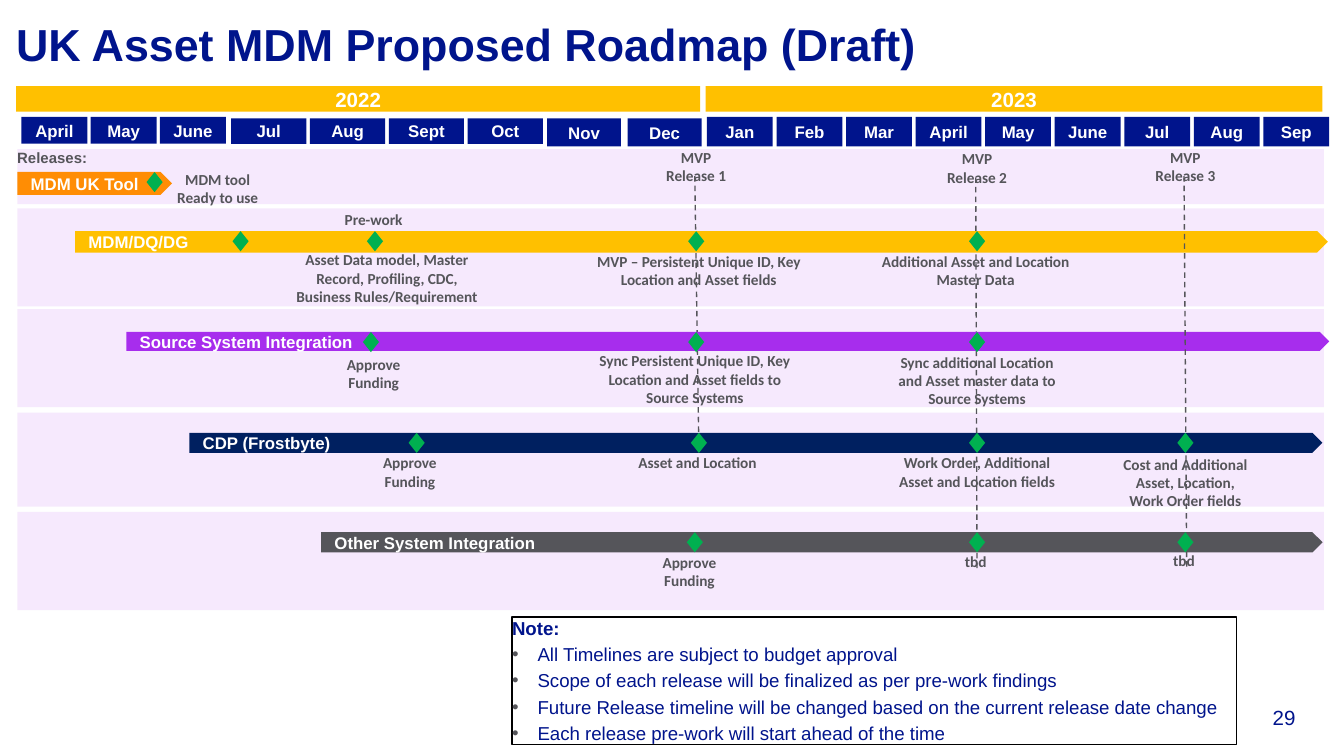
from pptx import Presentation
from pptx.dml.color import RGBColor
from pptx.enum.dml import MSO_LINE
from pptx.enum.shapes import MSO_CONNECTOR, MSO_SHAPE
from pptx.enum.text import MSO_ANCHOR, PP_ALIGN
from pptx.oxml.ns import qn
from pptx.util import Inches, Pt
from lxml.etree import SubElement

NAVY, GOLD, PURPLE, GREY, WHITE = "00148C", "FFC000", "A72DED", "55555A", "FFFFFF"
GREEN = "00B050"
LANE_LEFT, LANE_WIDTH = 0.13, 9.72
APPROVE = "Approve\nFunding"

# Month runs: left of first and last month, top, width, height, names
MONTHS = [
    (0.16, 1.19, 0.87, 0.49, 0.20, ["April", "May", "June"]),
    (1.72, 3.48, 0.88, 0.56, 0.19, ["Jul", "Aug", "Sept", "Oct"]),
    (4.07, 4.67, 0.88, 0.55, 0.21, ["Nov", "Dec"]),
    (5.26, 9.40, 0.87, 0.49, 0.22,
     ["Jan", "Feb", "Mar", "April", "May", "June", "Jul", "Aug", "Sep"]),
]

# Lanes: box top and height, then bar, milestone centres and captions.
# Bar: x, y, width, height, colour, label. Caption: centre, y from bar, width, lines, text.
LANES = [
    (1.11, 0.41, (0, 0.17, 1.15, 0.17, "FF8D04", "MDM UK Tool"), [1.02],
     [(1.49, -0.02, 0.71, 2, "MDM tool\nReady to use")]),
    (1.55, 0.73, (0.43, 0.17, 9.32, 0.16, GOLD, "MDM/DQ/DG"), [1.66, 2.66, 5.05, 7.14],
     [(2.65, -0.16, 0.71, 1, "Pre-work"),
      (2.75, 0.14, 1.5, 3, "Asset Data model, Master Record, Profiling, CDC,\n"
                           "Business Rules/Requirement"),
      (5.07, 0.15, 1.53, 2, "MVP – Persistent Unique ID, Key Location and Asset fields"),
      (7.13, 0.15, 1.53, 2, "Additional Asset and Location\nMaster Data")]),
    (2.3, 0.73, (0.81, 0.17, 8.95, 0.14, PURPLE, "Source System Integration"),
     [2.63, 5.05, 7.14],
     [(2.65, 0.17, 0.58, 2, APPROVE),
      (5.04, 0.14, 1.52, 3, "Sync Persistent Unique ID, Key Location and Asset fields "
                            "to Source Systems"),
      (7.14, 0.15, 1.27, 3, "Sync additional Location and Asset master data to "
                            "Source Systems")]),
    (3.07, 0.70, (1.28, 0.15, 8.43, 0.15, "002060", "CDP (Frostbyte)"),
     [2.97, 5.07, 7.14, 8.69],
     [(2.92, 0.15, 0.58, 2, APPROVE),
      (5.06, 0.15, 1.19, 1, "Asset and Location"),
      (7.14, 0.15, 1.19, 2, "Work Order, Additional Asset and Location fields"),
      (8.69, 0.16, 0.98, 3, "Cost and Additional Asset, Location, Work Order fields")]),
    (3.81, 0.73, (2.26, 0.15, 7.45, 0.15, GREY, "Other System Integration"),
     [5.04, 7.14, 8.69],
     [(5.0, 0.15, 0.58, 2, APPROVE),
      (7.13, 0.15, 1.28, 1, "tbd"),
      (8.68, 0.14, 1.28, 1, "tbd")]),
]

# Releases: caption centre, caption top, line start and end
RELEASES = [
    (5.18, 1.10, (5.17, 1.31), (5.20, 3.35)),
    (7.27, 1.11, (7.26, 1.32), (7.27, 4.25)),
    (8.82, 1.10, (8.81, 1.31), (8.83, 4.24)),
]

NOTES = [
    "All Timelines are subject to budget approval",
    "Scope of each release will be finalized as per pre-work findings",
    "Future Release timeline will be changed based on the current release date change",
    "Each release pre-work will start ahead of the time",
]


def rgb(colour):
    return RGBColor.from_string(colour)


def write(shape, text, size=9, font="Arial", colour=WHITE, bold=True,
          align=PP_ALIGN.CENTER, anchor=MSO_ANCHOR.MIDDLE, inset=(0, 0), after=0, wrap=True):
    frame = shape.text_frame
    frame.word_wrap = wrap
    frame.vertical_anchor = anchor
    frame.margin_left = frame.margin_right = Inches(inset[0])
    frame.margin_top = frame.margin_bottom = Inches(inset[1])
    frame.text = text
    for paragraph in frame.paragraphs:
        paragraph.alignment = align
        paragraph.space_after = Pt(after)
        for run in paragraph.runs:
            run.font.size, run.font.name, run.font.bold = Pt(size), font, bold
            run.font.color.rgb = rgb(colour)


def add_block(slide, kind, left, top, width, height, fill=None, alpha=None):
    block = slide.shapes.add_shape(kind, *map(Inches, (left, top, width, height)))
    block.shadow.inherit = False
    block.line.fill.background()
    if fill is None:
        block.fill.background()
        return block
    block.fill.solid()
    block.fill.fore_color.rgb = rgb(fill)
    if alpha:
        srgb = block.fill._xPr.find(".//" + qn("a:srgbClr"))
        SubElement(srgb, qn("a:alpha"), val=str(alpha * 1000))
    return block


def add_text(slide, left, top, width, height, text, **style):
    box = slide.shapes.add_textbox(*map(Inches, (left, top, width, height)))
    write(box, text, **style)


def add_caption(slide, centre, top, width, lines, text):
    add_text(slide, centre - width / 2, top, width, 0.14 * lines, text,
             size=8.2, font="Calibri", colour=GREY)


def add_title(slide, left, top, width, height):
    title = slide.shapes.title
    title.left, title.top, title.width, title.height = map(Inches, (left, top, width, height))
    write(title, "UK Asset MDM Proposed Roadmap (Draft)", size=24, colour=NAVY,
          align=PP_ALIGN.LEFT, anchor=MSO_ANCHOR.MIDDLE)


def add_calendar(slide):
    for year, left, width in (("2022", 0.12, 5.09), ("2023", 5.25, 4.59)):
        band = add_block(slide, MSO_SHAPE.RECTANGLE, left, 0.64, width, 0.19, GOLD)
        write(band, year, size=11, after=6)
    for first, last, top, width, height, names in MONTHS:
        pitch = (last - first) / (len(names) - 1)
        for i, name in enumerate(names):
            month = add_block(slide, MSO_SHAPE.RECTANGLE, first + i * pitch, top,
                              width, height, NAVY)
            write(month, name, inset=(0.04, 0.05), after=6)


def add_bar(slide, left, top, bar):
    x, y, width, height, colour, label = bar
    arrow = add_block(slide, MSO_SHAPE.PENTAGON, left + x, top + y, width, height, colour)
    write(arrow, label, align=PP_ALIGN.LEFT, inset=(0.1, 0.05), after=6)


def add_milestones(slide, left, bar_top, milestones, captions):
    for centre in milestones:
        add_block(slide, MSO_SHAPE.DIAMOND, left + centre - 0.06, bar_top, 0.12, 0.15, GREEN)
    for centre, dy, width, lines, text in captions:
        add_caption(slide, left + centre, bar_top + dy, width, lines, text)


def add_release_line(slide, start, end):
    line = slide.shapes.add_connector(MSO_CONNECTOR.STRAIGHT, *map(Inches, start + end))
    line.line.color.rgb = rgb(GREY)
    line.line.width = Pt(0.75)
    line.line.dash_style = MSO_LINE.DASH
    SubElement(line._element.spPr, qn("a:effectLst"))


def add_notes_box(slide, left, top, width, height):
    box = add_block(slide, MSO_SHAPE.RECTANGLE, left, top, width, height)
    box.line.color.rgb = rgb("000000")
    box.line.width = Pt(0.75)
    write(box, "\n".join(["Note:"] + NOTES), size=10, colour=NAVY, bold=False,
          align=PP_ALIGN.LEFT, anchor=MSO_ANCHOR.TOP, after=2)
    heading, *items = box.text_frame.paragraphs
    heading.runs[0].font.bold = True
    for item in items:
        properties = item._p.get_or_add_pPr()
        properties.set("marL", str(Inches(0.19)))
        properties.set("indent", str(-Inches(0.19)))
        bullet_colour = SubElement(properties, qn("a:buClr"))
        SubElement(bullet_colour, qn("a:srgbClr"), val=GREY)
        SubElement(properties, qn("a:buFont"), typeface="Arial")
        SubElement(properties, qn("a:buChar"), char="•")


def main():
    deck = Presentation()
    deck.slide_width, deck.slide_height = Inches(10), Inches(10 * 9 / 16)
    slide = deck.slides.add_slide(deck.slide_layouts[5])
    add_title(slide, 0.12, 0.12, 9.21, 0.41)
    add_calendar(slide)

    # Lane backgrounds, with the first two release lines running behind the bars
    for top, height, *_ in LANES:
        add_block(slide, MSO_SHAPE.RECTANGLE, LANE_LEFT, top, LANE_WIDTH, height, PURPLE, alpha=10)
    for *_, start, end in RELEASES[:2]:
        add_release_line(slide, start, end)

    # Lane bars, with the last release line in front of them
    for top, _, bar, *_ in LANES:
        add_bar(slide, LANE_LEFT, top, bar)
    add_release_line(slide, *RELEASES[2][2:])

    # Milestones and captions
    for top, _, bar, milestones, captions in LANES:
        add_milestones(slide, LANE_LEFT, top + bar[1], milestones, captions)
    add_text(slide, 0.03, 1.06, 0.73, 0.24, "Releases:", size=8, colour=GREY, wrap=False,
             align=PP_ALIGN.LEFT, anchor=MSO_ANCHOR.TOP, inset=(0.1, 0.05), after=6)
    for number, (centre, top, *_) in enumerate(RELEASES, 1):
        add_caption(slide, centre, top, 0.71, 2, f"MVP\nRelease {number}")

    # Notes and page number
    add_notes_box(slide, 3.81, 4.59, 5.39, 0.95)
    add_text(slide, 9.06, 5.24, 0.58, 0.19, "29", size=11, colour=NAVY, bold=False,
             align=PP_ALIGN.RIGHT, anchor=MSO_ANCHOR.BOTTOM)
    deck.save("out.pptx")


if __name__ == "__main__":
    main()
